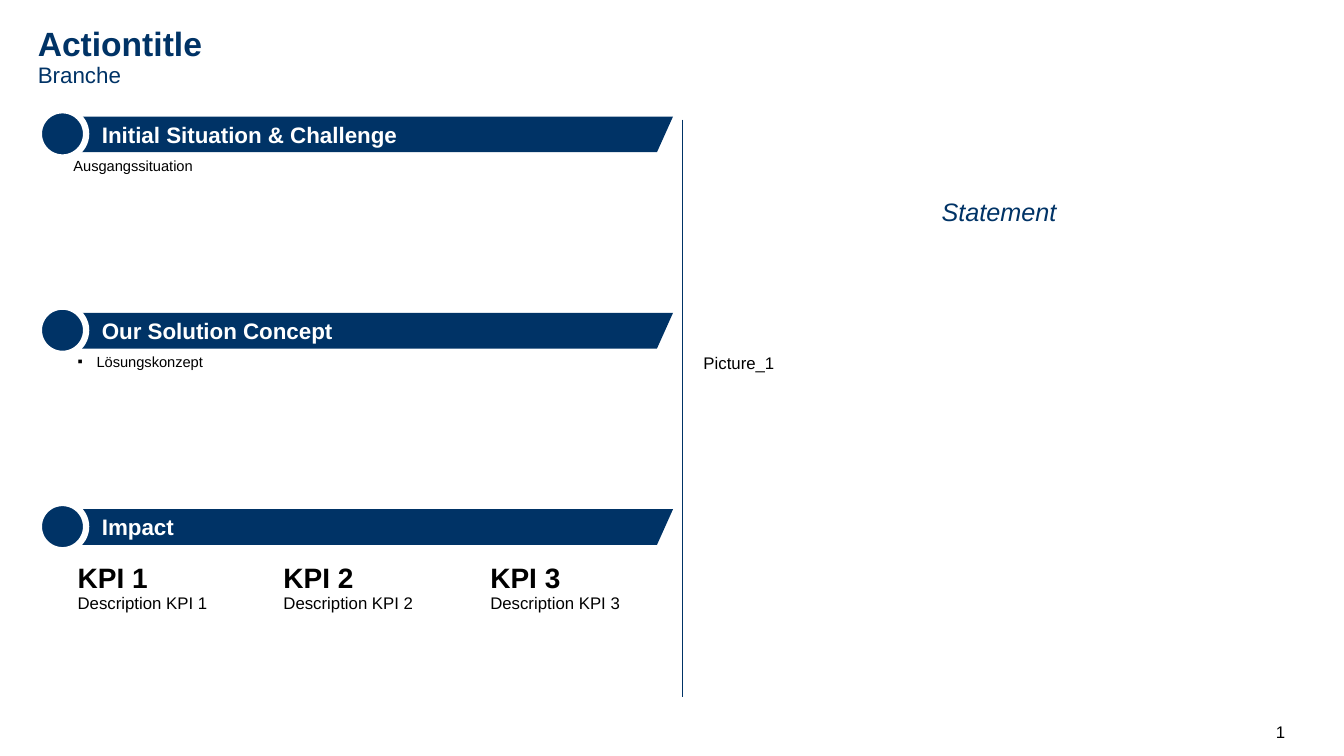
from lxml import etree
from pptx import Presentation
from pptx import util as u
from pptx.dml.color import RGBColor
from pptx.enum import shapes, text
from pptx.oxml.ns import qn

PX = 9525
NAVY, WHITE, BLACK = "003366", "FFFFFF", "000000"
CENTER, JUSTIFY = text.PP_ALIGN.CENTER, text.PP_ALIGN.JUSTIFY
MIDDLE, BOTTOM = text.MSO_ANCHOR.MIDDLE, text.MSO_ANCHOR.BOTTOM


def rgb(value):
    return RGBColor.from_string(value)


def add_text(words, at, size, color=BLACK, ins=(4, 4, 4, 4), font={}, para={}, frame={}, fill=None):
    sp = s.shapes.add_textbox(*(v * PX for v in at))
    if fill:
        sp.fill.solid()
        sp.fill.fore_color.rgb = rgb(fill)
    tf = sp.text_frame
    p = tf.paragraphs[0]
    r = p.add_run()
    r.text = words
    r.font.color.rgb = rgb(color)
    margins = dict(zip(("margin_left", "margin_top", "margin_right", "margin_bottom"),
                       (v * PX for v in ins)))
    for target, values in (
        (tf, {"word_wrap": True, **margins, **frame}),
        (p, para),
        (r.font, {"name": "Arial", "size": u.Pt(size), **font}),
    ):
        for name, value in values.items():
            setattr(target, name, value)
    return sp


prs = Presentation()
prs.slide_width, prs.slide_height = 1280 * PX, 720 * PX
s = prs.slides.add_slide(prs.slide_layouts[6])

add_text("1", (1194, 682, 51, 29), 12, ins=(10, 5, 10, 5),
         para={"alignment": CENTER}, frame={"vertical_anchor": MIDDLE, "word_wrap": False})

divider = s.shapes.add_connector(shapes.MSO_CONNECTOR.STRAIGHT, 650 * PX, 114 * PX, 650 * PX, 664 * PX)
divider.line.color.rgb = rgb(NAVY)
divider.line.width = u.Pt(0.5)
etree.SubElement(divider.element.spPr, qn("a:effectLst"))

for i, heading in enumerate(("Initial Situation & Challenge", "Our Solution Concept", "Impact")):
    top = 111 + 187 * i
    banner = s.shapes.add_shape(shapes.MSO_SHAPE.PARALLELOGRAM, 60 * PX, top * PX, 581 * PX, 34 * PX)
    banner.adjustments[0] = 0.45
    banner.line.fill.background()
    marker = s.shapes.add_shape(shapes.MSO_SHAPE.OVAL, 37 * PX, (top - 6) * PX, 45 * PX, 45 * PX)
    marker.line.color.rgb = rgb(WHITE)
    marker.line.width = u.Pt(4.5)
    for sp in (banner, marker):
        sp.shadow.inherit = False
        sp.fill.solid()
        sp.fill.fore_color.rgb = rgb(NAVY)
    add_text(heading, (60, top + 4, 356, 26), 16, WHITE, (37, 0, 10, 0), font={"bold": True})

title = add_text("Actiontitle", (36, 0, 1209, 61), 24, NAVY, (0, 0, 0, 0), font={"bold": True},
                 para={"line_spacing": 0.9}, frame={"vertical_anchor": BOTTOM}, fill=WHITE)
tint = title.element.spPr.find(qn("a:solidFill")).find(qn("a:srgbClr"))
etree.SubElement(tint, qn("a:alpha"), val="43000")

add_text("Branche", (36, 61, 1209, 35), 16, NAVY, (0, 0, 0, 0),
         para={"line_spacing": 0.9, "space_before": u.Pt(10)})
add_text("Ausgangssituation", (66, 145, 574, 143), 10.5, para={"alignment": JUSTIFY})

solution = add_text("Lösungskonzept", (70, 332, 570, 137), 10.5, para={"space_before": u.Pt(2)})
columns = solution.element.txBody.bodyPr
columns.set("numCol", "2")
columns.set("spcCol", str(2 * PX))
pPr = solution.text_frame.paragraphs[0]._p.get_or_add_pPr()
pPr.set("marL", str(18 * PX))
pPr.set("indent", str(-18 * PX))
etree.SubElement(pPr, qn("a:buFont"), typeface="Arial")
etree.SubElement(pPr, qn("a:buChar"), char="▪")

add_text("Statement", (705, 132, 493, 138), 18, NAVY, font={"italic": True},
         para={"alignment": CENTER, "space_before": u.Pt(6)}, frame={"vertical_anchor": MIDDLE})
add_text("Picture_1", (660, 333, 585, 325), 12, ins=(10, 5, 10, 5),
         para={"line_spacing": 0.9, "space_before": u.Pt(10)})

for i in range(3):
    left = 70 + 393 * i // 2
    kpi = f"KPI {i + 1}"
    add_text(kpi, (left, 534, 178, 29), 20, ins=(4, 0, 4, 0), font={"bold": True}, fill=WHITE)
    add_text(f"Description {kpi}", (left, 564, 178, 63), 12, ins=(4, 0, 4, 12), fill=WHITE)

prs.save("out.pptx")
